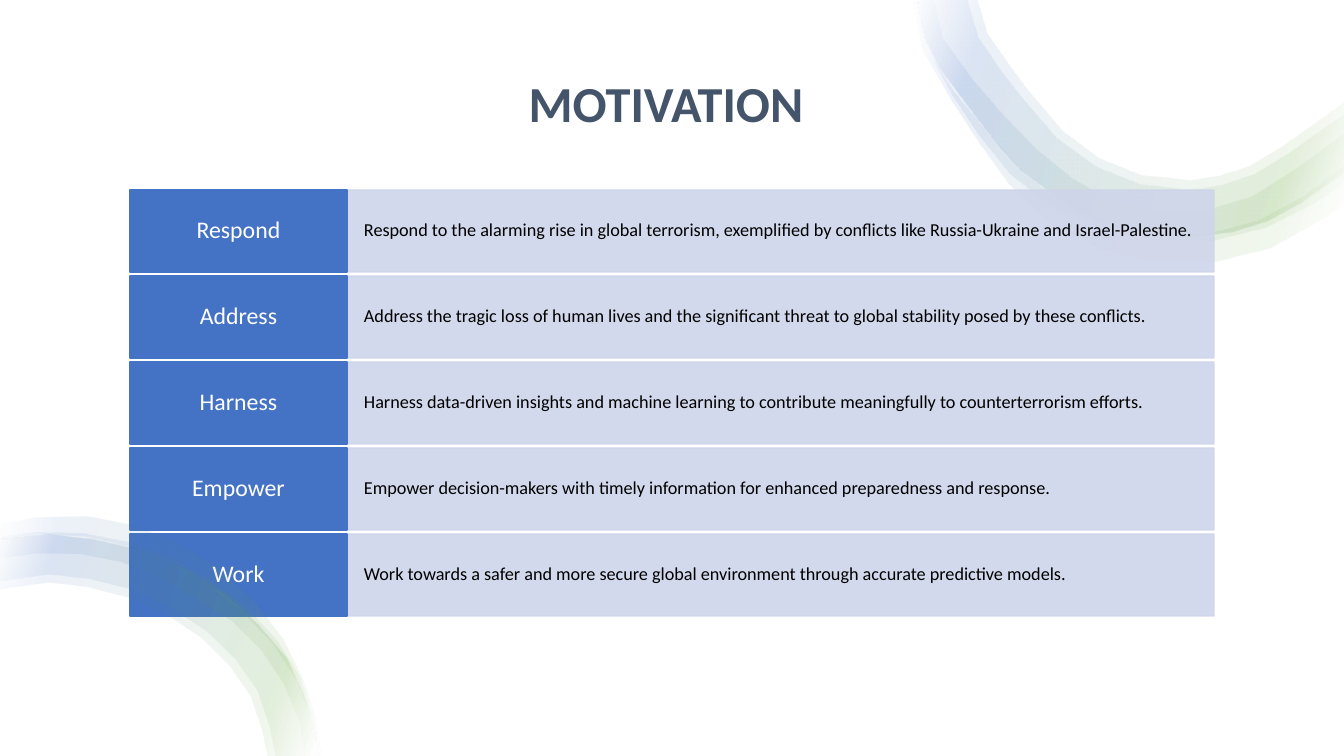
from dataclasses import dataclass
from math import dist

from lxml.etree import SubElement
from pptx import Presentation
from pptx.dml.color import RGBColor
from pptx.enum.shapes import MSO_SHAPE
from pptx.enum.text import MSO_ANCHOR, PP_ALIGN
from pptx.oxml.ns import qn
from pptx.util import Emu, Pt

# Content
TITLE = "MOTIVATION"
ROWS = [
    ("Respond", "Respond to the alarming rise in global terrorism, exemplified by "
                "conflicts like Russia-Ukraine and Israel-Palestine."),
    ("Address", "Address the tragic loss of human lives and the significant threat "
                "to global stability posed by these conflicts."),
    ("Harness", "Harness data-driven insights and machine learning to contribute "
                "meaningfully to counterterrorism efforts."),
    ("Empower", "Empower decision-makers with timely information for enhanced "
                "preparedness and response."),
    ("Work", "Work towards a safer and more secure global environment through "
             "accurate predictive models."),
]

# Ribbon edges in px: each ribbon is an outer and an inner curve
TOP_OUT = [(918, 0), (926, 40), (940, 68), (960, 95), (981, 123), (1021, 170),
           (1068, 206), (1124, 229), (1190, 237), (1231, 232), (1267, 221),
           (1300, 203), (1344, 172)]
TOP = [
    ([(914, 0), (923, 50), (950, 97), (978, 140), (1009, 183), (1049, 222),
      (1100, 248), (1156, 261), (1215, 261), (1271, 247), (1320, 220), (1344, 204)],
     [(917, 0), (927, 49), (956, 93), (989, 133), (1023, 171), (1063, 203),
      (1110, 223), (1159, 232), (1211, 232), (1258, 220), (1303, 196), (1344, 166)]),
    ([(918, 0), (926, 46), (951, 92), (978, 133), (1010, 173), (1052, 206),
      (1103, 227), (1156, 239), (1212, 240), (1265, 227), (1313, 203), (1344, 182)],
     [(934, 0), (944, 39), (972, 78), (1004, 115), (1037, 149), (1073, 178),
      (1113, 201), (1148, 209), (1207, 209), (1251, 196), (1291, 171), (1344, 133)]),
    (TOP_OUT,
     [(968, 0), (979, 38), (1003, 73), (1021, 96), (1057, 138), (1097, 167),
      (1140, 184), (1190, 190), (1254, 174), (1318, 132), (1344, 114)]),
    (TOP_OUT,
     [(978, 0), (988, 34), (1011, 67), (1029, 91), (1063, 131), (1099, 158),
      (1141, 175), (1190, 180), (1249, 166), (1312, 125), (1344, 102)]),
]
LOW_OUT = [(0, 540), (49, 535), (142, 551), (224, 594), (286, 658), (304, 697),
           (319, 756)]
LOW = [
    (LOW_OUT, [(0, 590), (49, 583), (129, 598), (201, 638), (250, 696), (267, 756)]),
    (LOW_OUT, [(0, 582), (49, 575), (132, 590), (207, 632), (257, 691), (275, 756)]),
    ([(0, 538), (38, 533), (84, 534), (129, 543), (171, 558), (211, 581), (246, 608),
      (276, 640), (299, 677), (313, 718), (319, 756)],
     [(0, 559), (39, 554), (82, 555), (122, 563), (161, 579), (232, 622), (261, 651),
      (283, 684), (299, 722), (304, 756)]),
    ([(0, 525), (37, 518), (87, 517), (134, 526), (179, 544), (220, 571),
      (254, 602), (282, 639), (302, 679), (313, 711), (320, 756)],
     [(0, 540), (39, 535), (84, 537), (127, 547), (168, 563), (207, 586), (242, 613),
      (272, 644), (296, 681), (312, 723), (317, 756)]),
]


@dataclass(frozen=True)
class Theme:
    font: str = "Calibri"
    white: str = "FFFFFF"
    black: str = "000000"
    slate: str = "44546A"
    blue: str = "4472C4"
    green: str = "70AD47"
    pale: str = "CFD5EA"
    head: int = 36
    label: int = 17
    body: int = 13


THEME = Theme()
STOPS = [(2, THEME.white), (16, THEME.green), (85, THEME.blue), (100, THEME.white)]
WIDE, HIGH = 1344, 756
SCALE = 12192000 / WIDE


def px(num):
    return Emu(round(num * SCALE))


def rgb(code):
    return RGBColor.from_string(code)


def fade(node, part):
    """Give every colour under node an opacity in percent."""
    for tint in node.iter(qn("a:srgbClr")):
        SubElement(tint, qn("a:alpha"), val=str(part * 1000))


def write(shape, text, size, color, align, anchor, bold=False):
    frame = shape.text_frame
    frame.text = text
    frame.word_wrap = True
    frame.vertical_anchor = anchor
    para = frame.paragraphs[0]
    para.alignment = align
    para.line_spacing = 0.9
    font = para.runs[0].font
    font.name, font.size, font.bold = THEME.font, Pt(size), bold
    font.color.rgb = rgb(color)


def add_box(slide, left, top, wide, high, color, pad):
    box = slide.shapes.add_shape(MSO_SHAPE.RECTANGLE, *map(px, (left, top, wide, high)))
    box.shadow.inherit = False
    box.fill.solid()
    box.fill.fore_color.rgb = rgb(color)
    box.line.color.rgb = rgb(color)
    box.line.width = Pt(1)
    frame = box.text_frame
    frame.margin_left = frame.margin_right = px(pad[0])
    frame.margin_top = frame.margin_bottom = px(pad[1])
    return box


def smooth(dots, gap=40):
    """Run a Catmull-Rom curve through the dots, one point about every gap px."""
    ends = [dots[0], *dots, dots[-1]]
    out = [dots[0]]
    for a, b, c, d in zip(ends, ends[1:], ends[2:], ends[3:]):
        steps = max(1, round(dist(b, c) / gap))
        for k in range(1, steps + 1):
            t = k / steps
            out.append(tuple(
                (2 * q + (r - p) * t + (2 * p - 5 * q + 4 * r - s) * t ** 2
                 + (3 * q - p - 3 * r + s) * t ** 3) / 2
                for p, q, r, s in zip(a, b, c, d)))
    return out


def add_ribbon(slide, outer, inner):
    edge = [(px(x), px(y)) for x, y in smooth(outer) + smooth(inner)[::-1]]
    pen = slide.shapes.build_freeform(*edge[0], scale=1.0)
    pen.add_line_segments(edge[1:], close=True)
    shape = pen.convert_to_shape()
    shape.shadow.inherit = False
    shape.line.fill.background()
    shape.fill.gradient()
    shape.fill.gradient_angle = 160
    stops = shape._element.spPr.find(qn("a:gradFill")).find(qn("a:gsLst"))
    for old in list(stops):
        stops.remove(old)
    for spot, color in STOPS:
        stop = SubElement(stops, qn("a:gs"), pos=str(spot * 1000))
        SubElement(stop, qn("a:srgbClr"), val=color)
    fade(stops, 10)


def main():
    deck = Presentation()
    deck.slide_width, deck.slide_height = px(WIDE), px(HIGH)
    slide = deck.slides.add_slide(deck.slide_layouts[5])
    slide.background.fill.solid()
    slide.background.fill.fore_color.rgb = rgb(THEME.white)

    # Title
    title = slide.shapes.title
    title.left, title.top, title.width, title.height = map(px, (124, 18, 1084, 120))
    write(title, TITLE, THEME.head, THEME.slate, PP_ALIGN.CENTER, MSO_ANCHOR.BOTTOM, True)

    # Top ribbons lie behind the rows
    for pair in TOP:
        add_ribbon(slide, *pair)

    # Rows
    left, top, step, high, split, right = 130, 190, 86, 82, 347, 1214
    for i, (label, text) in enumerate(ROWS):
        y = top + i * step
        body = add_box(slide, split, y, right - split, high, THEME.pale, (17, 20))
        fade(body._element.spPr, 90)
        write(body, text, THEME.body, THEME.black, PP_ALIGN.LEFT, MSO_ANCHOR.MIDDLE)
        tag = add_box(slide, left, y, split - left, high, THEME.blue, (11, 8))
        write(tag, label, THEME.label, THEME.white, PP_ALIGN.CENTER, MSO_ANCHOR.MIDDLE)

    # Low ribbons lie over the rows
    for pair in LOW:
        add_ribbon(slide, *pair)

    deck.save("out.pptx")


if __name__ == "__main__":
    main()
